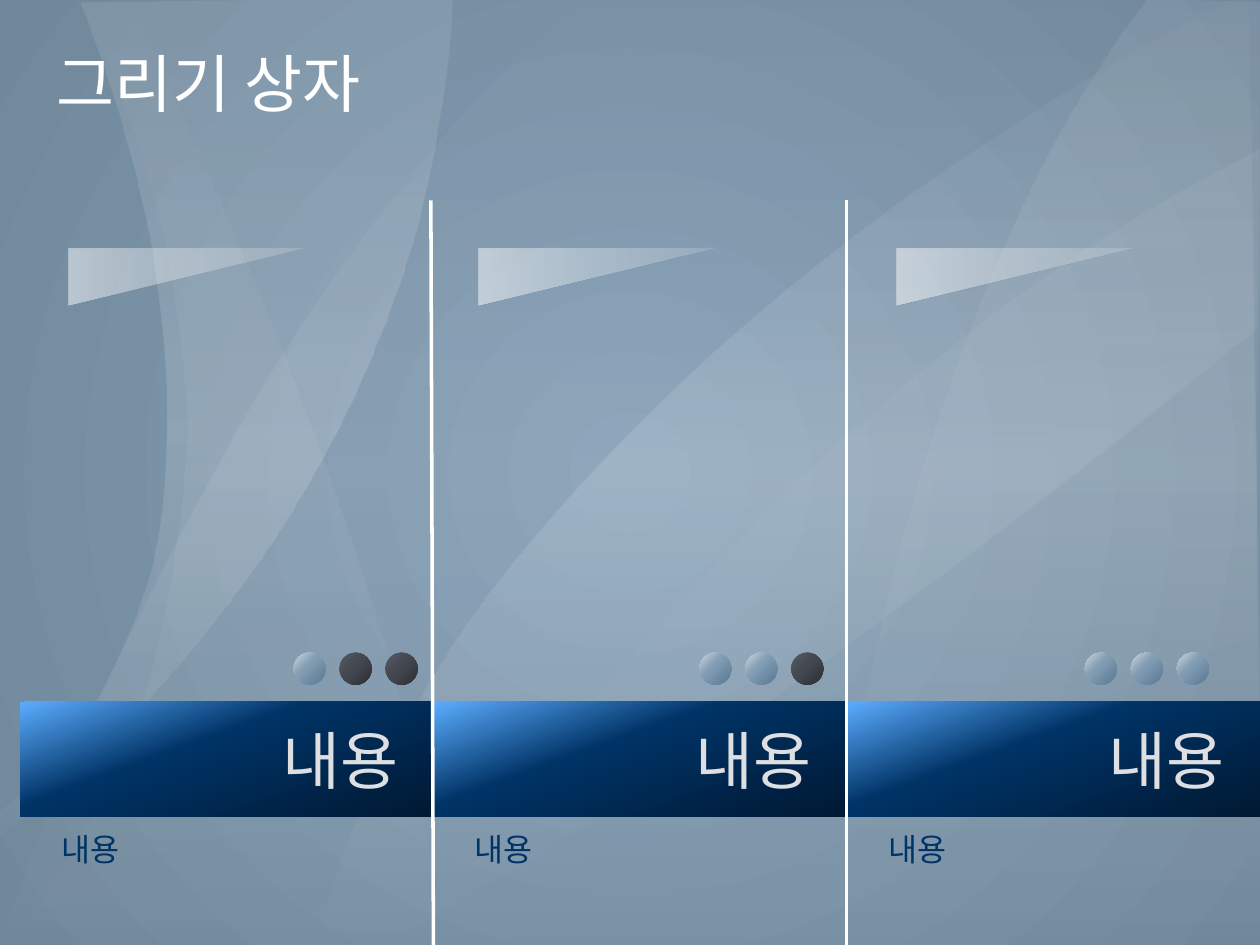
"""Build a slide with three labelled panels over a backdrop of translucent curved bands."""
from dataclasses import dataclass
from itertools import pairwise

from lxml import etree
from pptx import Presentation
from pptx import util as u
from pptx.dml.color import RGBColor
from pptx.enum import shapes, text
from pptx.oxml import parse_xml
from pptx.oxml.ns import nsdecls, qn

CELL = u.Inches(0.1)
COLUMNS, ROWS = 100, 75
PANEL_WIDTH, PANEL_TOP, PANEL_HEIGHT = 32.8, 55.7, 9.1
DOT_TOP, DOT_SIZE, DOT_PITCH = 51.8, 2.55, 3.65

Point = tuple[float, float]
Stop = tuple[float, str, float]


@dataclass(frozen=True)
class Gradient:
    """Colour stops (position, colour, opacity) and a direction; no angle means circular."""
    stops: tuple[Stop, ...]
    angle: float | None = 90


@dataclass(frozen=True)
class Band:
    """A closed outline of smooth edges, given by their knots in cells."""
    edges: tuple[tuple[Point, ...], ...]
    fill: Gradient


@dataclass(frozen=True)
class Panel:
    """A panel's column with the columns of its wedge and dots."""
    left: float
    wedge: float
    dots: float
    dark_dots: int


def white(*stops: tuple[float, float]) -> Gradient:
    """Make a downward white gradient from positions and opacities."""
    return Gradient(tuple((place, "FFFFFF", opacity) for place, opacity in stops))


def opaque(angle: float | None, *stops: tuple[float, str]) -> Gradient:
    """Make a gradient of solid colours."""
    return Gradient(tuple((place, colour, 100) for place, colour in stops), angle)


BACKDROP = opaque(None, (0, "849FB5"), (100, "71889B"))
NAVY = opaque(70, (0, "5CADFF"), (40, "003366"), (100, "001933"))
LIGHT_DOT = opaque(45, (0, "CED9E1"), (40, "849FB5"), (100, "587893"))
DARK_DOT = opaque(45, (0, "545963"), (50, "42464E"), (100, "2C2F34"))
WEDGE = white((0, 15), (50, 30), (100, 50))

BANDS = (
    Band((((0, 74.4), (4.6, 62.9), (10.6, 49.8), (18.6, 34.6), (25.3, 23.8), (32.8, 13.7),
           (39.7, 6.1), (47.1, 0)),
          ((100, -0.3), (99.7, 26.1)),
          ((99.7, 26.1), (86.3, 36.8), (72.1, 47.6), (55.3, 59.7), (43.3, 67.5), (31.5, 74.6)),
          ((15.6, 74.7), (0, 74.4))), white((0, 0), (50, 8), (100, 0))),
    Band((((-4, 69.3), (3.4, 63.6), (9.9, 57.4), (16.2, 50.3), (22.5, 41.6), (28.2, 31.2),
           (32.7, 19.4), (35.1, 8), (35.9, -0.2)),
          ((6.4, 0.2), (9.1, 7.9), (11.6, 17.4), (12.9, 26.3), (13.2, 34.5), (12.5, 42.9),
           (10.4, 49.8), (7.2, 56.2), (3.1, 61.6), (-3.8, 67.2))),
         white((0, 8), (50, 15), (100, 0))),
    Band((((99.2, -0.8), (87.3, 5.7), (73.5, 14.6), (62.6, 22.9), (53.1, 31.3), (44, 40.8),
           (37.1, 49.5), (31.3, 59), (27.5, 67), (25.2, 74.8)),
          ((100.3, 74.2), (99.2, -0.8))), white((0, 1), (50, 14), (100, 0))),
    Band((((10.2, 0), (15.8, 12.2), (22.4, 27.8), (27.9, 42.9), (32, 56.6), (34.1, 68),
           (34.5, 74.2)),
          ((0, 75), (3.2, 71.1), (7.3, 64.8), (11, 56.6), (13.5, 46.4), (14.8, 35.6),
           (14.5, 28.8), (13.1, 19.6), (10.3, 9.7), (6.9, 1.2))),
         white((0, 0), (50, 5), (100, 0))),
    Band((((66, 74.6), (66.8, 67), (69.1, 53.6), (72.6, 39.3), (77.3, 25.4), (82.8, 13),
           (88, 4.2), (91, 0)),
          ((100.1, 0.2), (100.5, 75))), white((10, 7), (100, 0))),
    Band((((99.5, 50.3), (86, 55.7), (70, 61), (55.6, 65.1), (46.8, 67.8), (41.3, 71.2),
           (38.4, 73.6)),
          ((32.8, 75), (38.8, 66.2), (48.9, 53.4), (59.4, 41.9), (69.2, 32.7), (80.3, 23.8),
           (90.7, 16.9), (100, 11.8))), white((0, 6), (100, 0))),
)
PANELS = tuple(
    Panel(1.6 + PANEL_WIDTH * index, wedge, dots, 2 - index)
    for index, (wedge, dots) in enumerate(((12.6, 23.3), (45.1, 55.5), (78.3, 86.1))))


def cells(*values: float) -> list[int]:
    """Turn grid cells into slide lengths."""
    return [round(value * CELL) for value in values]


def hue(code: str) -> RGBColor:
    """Turn a hex string into a colour."""
    return RGBColor.from_string(code)


def apply(target, values: dict) -> None:
    """Set every attribute in values on the target."""
    for name, value in values.items():
        setattr(target, name, value)


def paint(owner, root, gradient: Gradient) -> None:
    """Fill an object, whose fill comes first below the root element, with a gradient."""
    owner.fill.solid()
    stops = "".join(
        f'<a:gs pos="{place * 1000}"><a:srgbClr val="{colour}">'
        f'<a:alpha val="{opacity * 1000}"/></a:srgbClr></a:gs>'
        for place, colour, opacity in gradient.stops)
    if gradient.angle is None:
        course = ('<a:path path="circle"><a:fillToRect l="50000" t="50000" '
                  'r="50000" b="50000"/></a:path>')
    else:
        course = f'<a:lin ang="{gradient.angle * 60000}" scaled="0"/>'
    plain = root.find(".//" + qn("a:solidFill"))
    plain.getparent().replace(plain, parse_xml(
        f'<a:gradFill {nsdecls("a")} rotWithShape="1"><a:gsLst>{stops}</a:gsLst>{course}'
        '</a:gradFill>'))


def finish(shape, gradient: Gradient):
    """Give a shape its gradient without outline or shadow."""
    paint(shape, shape.element.spPr, gradient)
    shape.line.fill.background()
    shape.shadow.inherit = False
    return shape


def smooth(knots: tuple[Point, ...], steps: int = 6) -> list[Point]:
    """Run a Catmull-Rom curve through the knots."""
    if len(knots) == 2:
        return list(knots)
    ends = (knots[0], *knots, knots[-1])
    curve = [knots[0]]
    for index, (start, stop) in enumerate(pairwise(knots)):
        before, after = ends[index], ends[index + 3]
        for t in (step / steps for step in range(1, steps + 1)):
            curve.append(tuple(
                (2 * b + (c - a) * t + (2 * a - 5 * b + 4 * c - d) * t ** 2
                 + (3 * b - a - 3 * c + d) * t ** 3) / 2
                for a, b, c, d in zip(before, start, stop, after)))
    return curve


def draw_band(page, band: Band) -> None:
    """Draw one translucent band."""
    outline = [cells(*point) for edge in band.edges for point in smooth(edge)]
    builder = page.shapes.build_freeform(*outline[0])
    builder.add_line_segments(outline[1:], close=True)
    finish(builder.convert_to_shape(), band.fill)


def draw_shape(page, kind, place: tuple[float, ...], gradient: Gradient):
    """Draw a preset shape at left, top, width, height in cells."""
    return finish(page.shapes.add_shape(kind, *cells(*place)), gradient)


def write(box, words: str, size: float, font: str, colour: str, align, frame: dict) -> None:
    """Write one formatted paragraph into a box."""
    apply(box.text_frame, {"word_wrap": True, **frame})
    para = box.text_frame.paragraphs[0]
    para.alignment = align
    span = para.add_run()
    span.text = words
    apply(span.font, {"size": u.Pt(size), "name": font})
    span.font.color.rgb = hue(colour)


def draw_panel(page, panel: Panel) -> None:
    """Draw a panel's bar, caption, dots and wedge."""
    bar = draw_shape(page, shapes.MSO_SHAPE.RECTANGLE,
                     (panel.left, PANEL_TOP, PANEL_WIDTH, PANEL_HEIGHT), NAVY)
    write(bar, "내용", 36, "Arial", "DDDFE2", text.PP_ALIGN.RIGHT,
          {"vertical_anchor": text.MSO_ANCHOR.MIDDLE, "margin_right": u.Inches(0.28)})
    caption = page.shapes.add_textbox(*cells(panel.left + 2.3, 65.4, 28.1, 7.1))
    write(caption, "내용", 18, "Arial", "003366", text.PP_ALIGN.LEFT,
          {"auto_size": text.MSO_AUTO_SIZE.SHAPE_TO_FIT_TEXT})
    for index in range(3):
        draw_shape(page, shapes.MSO_SHAPE.OVAL,
                   (panel.dots + index * DOT_PITCH, DOT_TOP, DOT_SIZE, DOT_SIZE),
                   DARK_DOT if index >= 3 - panel.dark_dots else LIGHT_DOT)
    wedge = draw_shape(page, shapes.MSO_SHAPE.RIGHT_TRIANGLE,
                       (panel.wedge, 12.6, 4.5, 18.8), WEDGE)
    wedge.rotation = 90


def draw_divider(page, foot: float, head: float) -> None:
    """Draw a white line from the slide's bottom edge up to its head."""
    line = page.shapes.add_connector(shapes.MSO_CONNECTOR.STRAIGHT,
                                     *cells(foot, ROWS, head, 15.9))
    line.line.color.rgb = hue("FFFFFF")
    line.line.width = u.Pt(2)
    etree.SubElement(line.element.spPr, qn("a:effectLst"))


def main() -> None:
    """Build and save the deck."""
    deck = Presentation()
    apply(deck, dict(zip(("slide_width", "slide_height"), cells(COLUMNS, ROWS))))
    page = deck.slides.add_slide(deck.slide_layouts[5])
    paint(page.background, page.element, BACKDROP)
    for band in BANDS:
        draw_band(page, band)
    title = page.shapes.title
    title.element.getparent().append(title.element)
    apply(title, dict(zip(("left", "top", "width", "height"), cells(3.5, 1.4, 92.7, 10.3))))
    write(title, "그리기 상자", 36, "Roboto", "FFFFFF", text.PP_ALIGN.LEFT,
          {"vertical_anchor": text.MSO_ANCHOR.MIDDLE, "auto_size": text.MSO_AUTO_SIZE.NONE})
    for panel in PANELS:
        draw_panel(page, panel)
    for panel, lean in zip(PANELS[1:], (0.2, 0)):
        draw_divider(page, panel.left, panel.left - lean)
    deck.save("out.pptx")


if __name__ == "__main__":
    main()
